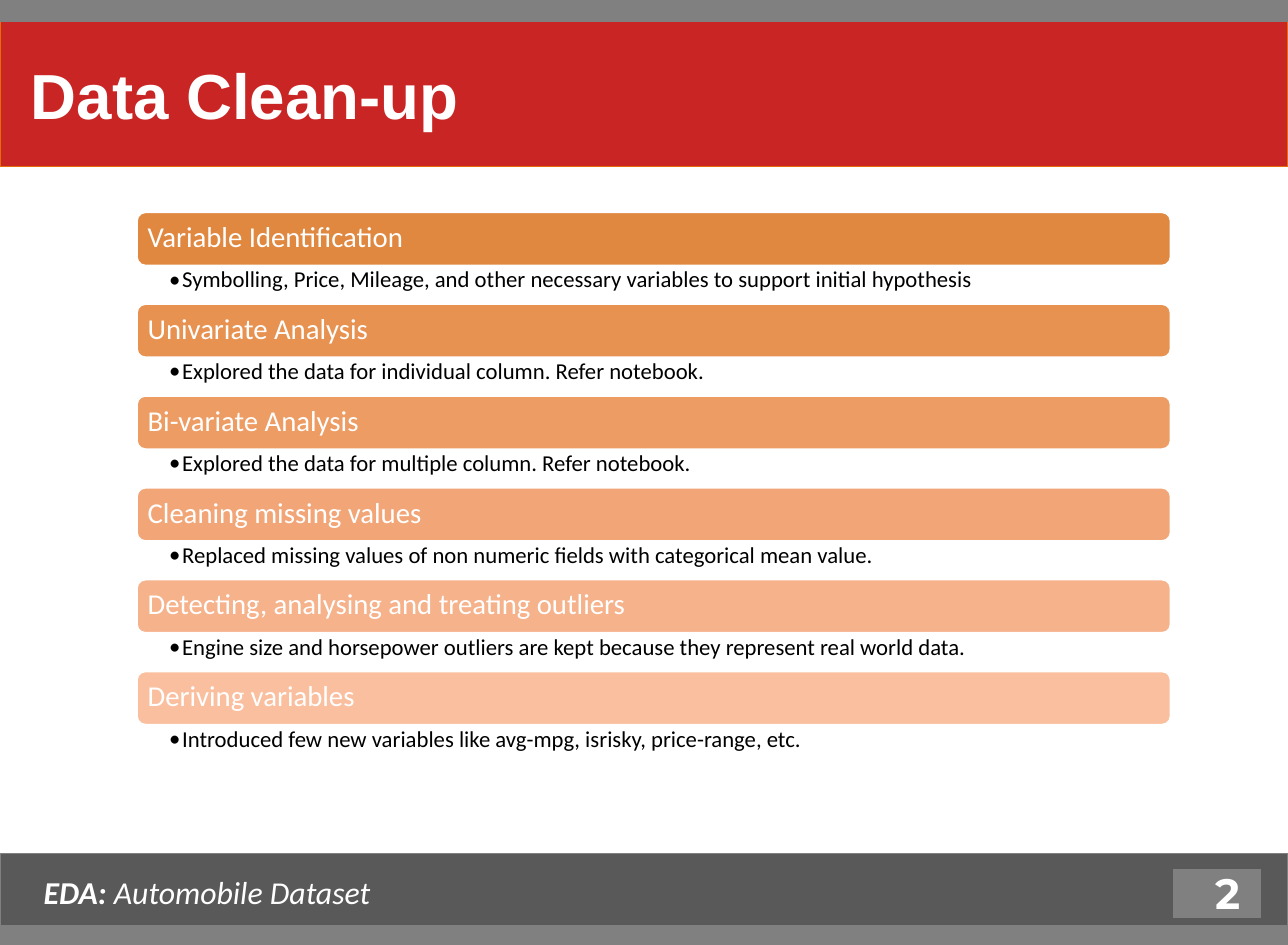
from lxml.etree import SubElement
from pptx import Presentation
from pptx.dml.color import RGBColor
from pptx.enum.shapes import MSO_SHAPE
from pptx.enum.text import MSO_ANCHOR, MSO_AUTO_SIZE, PP_ALIGN
from pptx.oxml.ns import qn
from pptx.util import Cm, Inches, Pt

WHITE = RGBColor(255, 255, 255)
BLACK = RGBColor(0, 0, 0)
RED = RGBColor(0xC9, 0x25, 0x25)
ORANGE = RGBColor(0xE4, 0x6C, 0x0A)
GREY = RGBColor(0x80, 0x80, 0x80)
DARK = RGBColor(0x59, 0x59, 0x59)
WIDE, HIGH = Cm(30), Cm(22)

STEPS = [
    (RGBColor(0xE0, 0x88, 0x40), "Variable Identification",
     "Symbolling, Price, Mileage, and other necessary variables to support initial hypothesis"),
    (RGBColor(0xE7, 0x92, 0x51), "Univariate Analysis",
     "Explored the data for individual column. Refer notebook."),
    (RGBColor(0xED, 0x9C, 0x63), "Bi-variate Analysis",
     "Explored the data for multiple column. Refer notebook."),
    (RGBColor(0xF2, 0xA6, 0x77), "Cleaning missing values",
     "Replaced missing values of non numeric fields with categorical mean value."),
    (RGBColor(0xF6, 0xB2, 0x8B), "Detecting, analysing and treating outliers",
     "Engine size and horsepower outliers are kept because they represent real world data."),
    (RGBColor(0xFA, 0xBF, 0x9F), "Deriving variables",
     "Introduced few new variables like avg-mpg, isrisky, price-range, etc."),
]


def say(shape, text, size, font="Calibri", color=WHITE, bold=False, italic=False,
        align=PP_ALIGN.LEFT, anchor=MSO_ANCHOR.MIDDLE, pad=(0.12, 0.06, 0.12, 0.06),
        space=1.0, bullet=False):
    frame = shape.text_frame
    frame.word_wrap = True
    frame.auto_size = MSO_AUTO_SIZE.NONE
    frame.vertical_anchor = anchor
    frame.margin_left, frame.margin_top, frame.margin_right, frame.margin_bottom = map(Inches, pad)
    para = frame.paragraphs[0]
    para.alignment = align
    para.line_spacing = space
    run = para.add_run()
    run.text = text
    run.font.name = font
    run.font.size = Pt(size)
    run.font.bold = bold
    run.font.italic = italic
    run.font.color.rgb = color
    if bullet:
        props = para._p.get_or_add_pPr()
        props.set("marL", str(Inches(0.12)))
        props.set("indent", str(-Inches(0.12)))
        SubElement(props, qn("a:buFont")).set("typeface", font)
        SubElement(props, qn("a:buChar")).set("char", "•")


def paint(shape, fill, line, width=0.75):
    shape.fill.solid()
    shape.fill.fore_color.rgb = fill
    shape.line.color.rgb = line
    shape.line.width = Pt(width)


def block(slide, box, fill, line, width=0.75, kind=MSO_SHAPE.RECTANGLE):
    shape = slide.shapes.add_shape(kind, *map(Inches, box))
    shape.shadow.inherit = False
    paint(shape, fill, line, width)
    return shape


def label(slide, box):
    return slide.shapes.add_textbox(*map(Inches, box))


def header(slide, left, top, width, height):
    strip = 0.2
    title = slide.shapes.title
    title.left, title.top = Inches(left), Inches(top + strip)
    title.width, title.height = Inches(width), Inches(height - strip)
    paint(title, RED, ORANGE)
    say(title, " Data Clean-up", 42, font="Arial", bold=True)
    block(slide, (left, top, width, strip), GREY, GREY)


def steps(slide, left, top, width, height):
    bar, inset = 0.5, 0.02
    pitch = height / len(STEPS)
    for row, (fill, name, note) in enumerate(STEPS):
        y = top + row * pitch
        card = block(slide, (left, y, width, bar), fill, WHITE, 2, MSO_SHAPE.ROUNDED_RECTANGLE)
        say(card, name, 19, pad=(0.08, 0.07, 0.08, 0.08), space=0.9)
        text = label(slide, (left, y + bar - inset / 2, width, pitch - bar))
        say(text, note, 15, color=BLACK, anchor=MSO_ANCHOR.TOP,
            pad=(0.3, 0.03, 0.15, 0.03), space=0.9, bullet=True)


def footer(slide, left, top, width, height):
    strip = 0.18
    block(slide, (left, top, width, height - 0.15), DARK, GREY)
    block(slide, (left, top + height - strip, width, strip), GREY, GREY)
    block(slide, (left + width - 1.07, top + 0.13, 0.84, 0.48), GREY, DARK, 2)
    page = label(slide, (left + width - 0.97, top + 0.13, 0.65, 0.46))
    say(page, "2", 28, font="Montserrat", bold=True, align=PP_ALIGN.RIGHT)
    topic = label(slide, (left + 0.28, top + 0.12, 3.53, 0.47))
    say(topic, "EDA:", 21, bold=True, italic=True, anchor=MSO_ANCHOR.TOP)
    say(topic, " Automobile Dataset", 21, italic=True, anchor=MSO_ANCHOR.TOP)


def main():
    deck = Presentation()
    deck.slide_width, deck.slide_height = WIDE, HIGH
    slide = deck.slides.add_slide(deck.slide_layouts[5])
    header(slide, 0, 0, WIDE.inches, 1.53)
    steps(slide, 1.25, 1.94, 9.49, 5.05)
    footer(slide, 0, 7.82, WIDE.inches, 0.84)
    deck.save("out.pptx")


if __name__ == "__main__":
    main()
